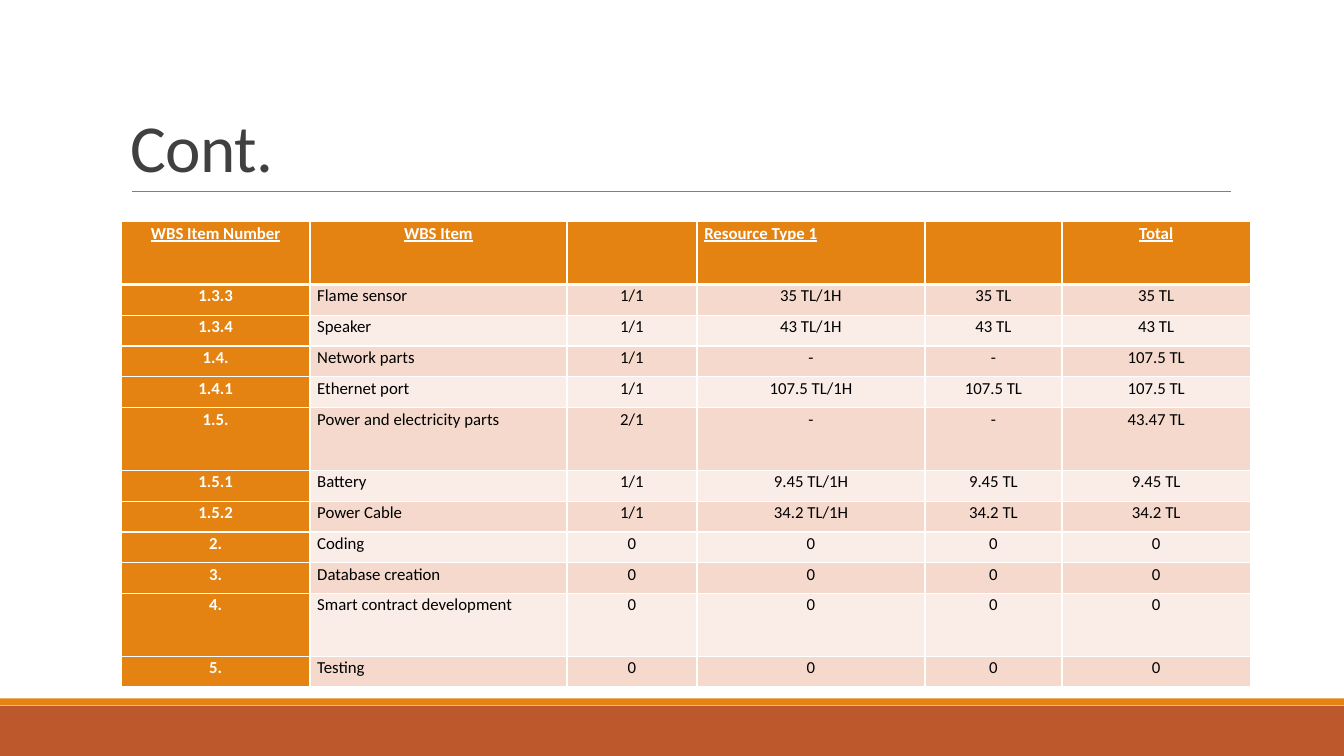
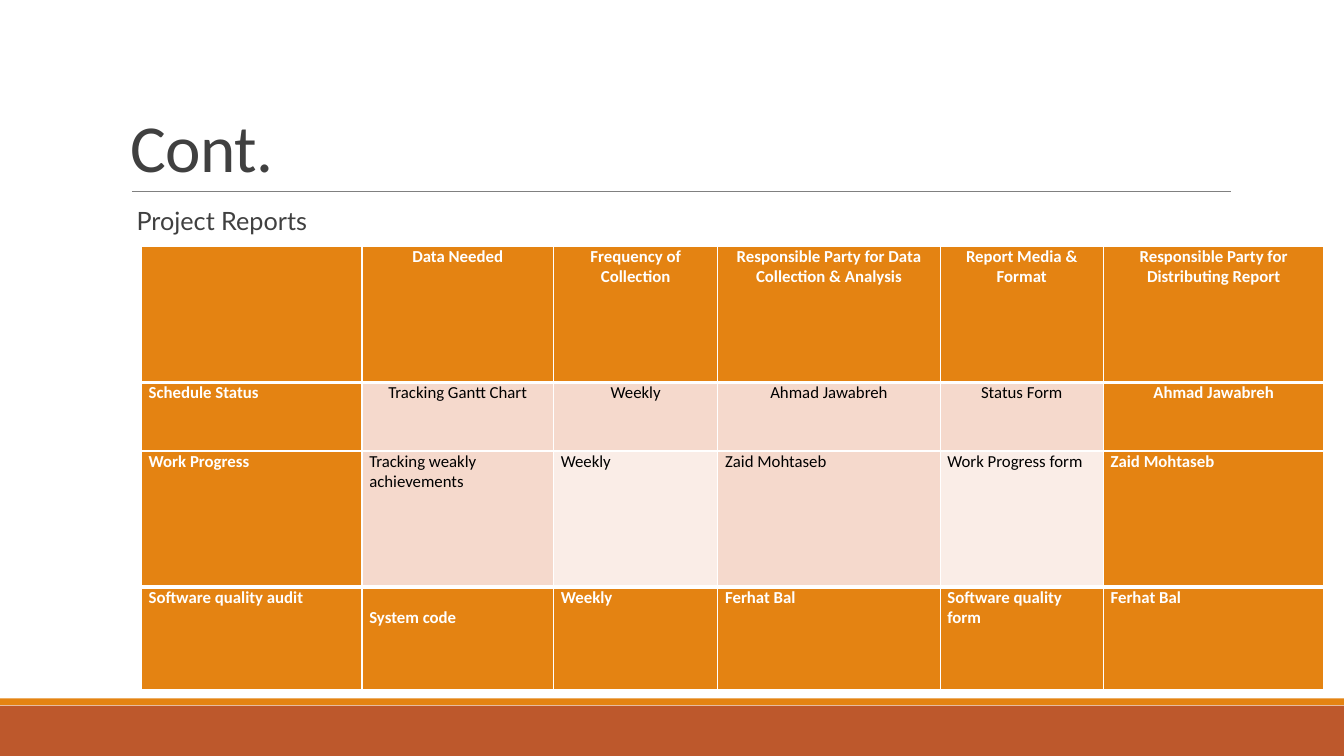
from lxml import etree
from pptx import Presentation
from pptx.dml.color import RGBColor
from pptx.enum.shapes import MSO_CONNECTOR as Connector, MSO_SHAPE as Shape
from pptx.enum.text import MSO_ANCHOR as Anchor, PP_ALIGN as Align
from pptx.oxml.ns import qn
from pptx.util import Pt

COLORS = {
    "orange": "E48312", "rust": "BD582C", "rule": "808080", "heading": "404040",
    "dark_tint": "F5D9CC", "light_tint": "FAEDE7", "white": "FFFFFF", "black": "000000",
}
SLIDE_W, SLIDE_H = 960, 540
TITLE_FONT, BODY_FONT = "Calibri", "Lato"

COST_COLS = [134.6, 183.6, 92.9, 162.8, 97.9, 134.6]
TALL, SHORT = 44.8, 22
COST_HEADER = ["WBS Item Number", "WBS Item", "", "Resource Type 1", "", "Total"]
COST_ITEMS = [
    ["1.3.3", "Flame sensor", "1/1", "35 TL/1H", "35 TL", "35 TL"],
    ["1.3.4", "Speaker", "1/1", "43 TL/1H", "43 TL", "43 TL"],
    ["1.4.", "Network parts", "1/1", "-", "-", "107.5 TL"],
    ["1.4.1", "Ethernet port", "1/1", "107.5 TL/1H", "107.5 TL", "107.5 TL"],
    ["1.5.", "Power and electricity parts", "2/1", "-", "-", "43.47 TL"],
    ["1.5.1", "Battery", "1/1", "9.45 TL/1H", "9.45 TL", "9.45 TL"],
    ["1.5.2", "Power Cable", "1/1", "34.2 TL/1H", "34.2 TL", "34.2 TL"],
    ["2.", "Coding"] + ["0"] * 4,
    ["3.", "Database creation"] + ["0"] * 4,
    ["4.", "Smart contract development"] + ["0"] * 4,
    ["5.", "Testing"] + ["0"] * 4,
]
TALL_ITEMS = {"1.5.", "4."}

REPORT_COLS = [157.6, 136.8, 117.4, 158.8, 116.6, 157.6]
REPORT_HEIGHTS = [97.2, 49, 97.2, 73.4]
REPORTS = [
    ["", "Data Needed", "Frequency of Collection",
     "Responsible Party for Data Collection & Analysis",
     "Report Media & Format", "Responsible Party for Distributing Report"],
    ["Schedule Status", "Tracking Gantt Chart", "Weekly", "Ahmad Jawabreh",
     "Status Form", "Ahmad Jawabreh"],
    ["Work Progress", "Tracking weakly achievements", "Weekly", "Zaid Mohtaseb",
     "Work Progress form", "Zaid Mohtaseb"],
    ["Software quality audit", "System code", "Weekly", "Ferhat Bal",
     "Software quality form", "Ferhat Bal"],
]


def rgb(name):
    return RGBColor.from_string(COLORS[name])


def add_run(paragraph, text, size, font, color, bold=False, underline=False):
    run = paragraph.add_run()
    run.text = text
    run.font.size, run.font.name = Pt(size), font
    run.font.bold, run.font.underline = bold, underline
    run.font.color.rgb = rgb(color)
    return run


def add_line_of_text(slide, box, text, size, font, line_spacing, anchor, inset):
    """One heading line inside box = (left, top, width, height)."""
    frame = slide.shapes.add_textbox(*map(Pt, box)).text_frame
    frame.word_wrap, frame.vertical_anchor = True, anchor
    frame.margin_left = frame.margin_right = Pt(inset)
    paragraph = frame.paragraphs[0]
    paragraph.line_spacing = line_spacing
    return add_run(paragraph, text, size, font, "heading")


def add_frame(prs, title):
    """New slide with footer bands, title and title rule."""
    slide = prs.slides.add_slide(prs.slide_layouts[6])
    for top, height, color in ((504, 36, "rust"), (498.8, 5, "orange")):
        band = slide.shapes.add_shape(Shape.RECTANGLE, 0, Pt(top), Pt(SLIDE_W), Pt(height))
        band.shadow.inherit = False
        band.fill.solid()
        band.fill.fore_color.rgb = rgb(color)
        band.line.fill.background()

    rule = slide.shapes.add_connector(Connector.STRAIGHT, Pt(94.3), Pt(136.8), Pt(879), Pt(136.8))
    rule.line.color.rgb, rule.line.width = rgb("rule"), Pt(0.5)
    etree.SubElement(rule._element.spPr, qn("a:effectLst"))

    heading = add_line_of_text(slide, (86.4, 22.3, 792, 114.5), title, 48, TITLE_FONT,
                               0.85, Anchor.BOTTOM, 7.2)
    heading.font._element.set("spc", "-50")
    return slide


def set_borders(cell, top=1, bottom=1):
    props = cell._tc.get_or_add_tcPr()
    for side, width in (("L", 1), ("R", 1), ("T", top), ("B", bottom)):
        edge = etree.SubElement(props, qn(f"a:ln{side}"), w=str(Pt(width)))
        fill = etree.SubElement(edge, qn("a:solidFill"))
        etree.SubElement(fill, qn("a:srgbClr"), val=COLORS["white"])


def add_grid(slide, left, top, widths, heights, texts, look, heavy_rules, line_spacing=1.0):
    """Table; look(row, col) gives fill, alignment, underline and top inset.

    heavy_rules holds the rows that have a thick line above them.
    """
    grid = slide.shapes.add_table(len(heights), len(widths), Pt(left), Pt(top),
                                  Pt(sum(widths)), Pt(sum(heights))).table
    grid.first_row = grid.horz_banding = False
    for column, width in zip(grid.columns, widths):
        column.width = Pt(width)
    for r, (height, row_texts) in enumerate(zip(heights, texts)):
        grid.rows[r].height = Pt(height)
        for c, text in enumerate(row_texts):
            cell = grid.cell(r, c)
            fill, align, underline, inset = look(r, c)
            set_borders(cell, 3 if r in heavy_rules else 1, 3 if r + 1 in heavy_rules else 1)
            cell.fill.solid()
            cell.fill.fore_color.rgb = rgb(fill)
            cell.margin_left = cell.margin_right = Pt(5.2)
            cell.margin_top, cell.margin_bottom = Pt(inset), 0
            if text:
                paragraph = cell.text_frame.paragraphs[0]
                paragraph.alignment, paragraph.line_spacing = align, line_spacing
                accent = fill == "orange"
                add_run(paragraph, text, 12, TITLE_FONT, "white" if accent else "black",
                        accent, underline)


def cost_look(r, c):
    header = r == 0
    if header or c == 0:
        fill = "orange"
    else:
        fill = "dark_tint" if r % 2 else "light_tint"
    left_aligned = c == 3 if header else c == 1
    return fill, Align.LEFT if left_aligned else Align.CENTER, header, 0


def report_look(r, c):
    if r in (0, 3) or c in (0, 5):
        fill = "orange"
    else:
        fill = "light_tint" if r == 2 and c % 2 == 0 else "dark_tint"
    centered = r == 0 or (r == 1 and c > 0)
    # System code sits one line below its neighbours
    inset = 14.6 if (r, c) == (3, 1) else 0
    return fill, Align.CENTER if centered else Align.LEFT, False, inset


def build_costs(prs):
    slide = add_frame(prs, "Cont.")
    heights = [TALL] + [TALL if item[0] in TALL_ITEMS else SHORT for item in COST_ITEMS]
    add_grid(slide, 86.8, 158.4, COST_COLS, heights, [COST_HEADER] + COST_ITEMS,
             cost_look, {1}, 1.07)


def build_reports(prs):
    slide = add_frame(prs, "Cont.")
    add_line_of_text(slide, (86.4, 145.4, 792, 30), "Project Reports", 18, BODY_FONT,
                     0.9, Anchor.TOP, 11.2)
    add_grid(slide, 101, 176, REPORT_COLS, REPORT_HEIGHTS, REPORTS, report_look, {1, 3})


def main():
    prs = Presentation()
    prs.slide_width, prs.slide_height = Pt(SLIDE_W), Pt(SLIDE_H)
    build_costs(prs)
    build_reports(prs)
    prs.save("out.pptx")


if __name__ == "__main__":
    main()
